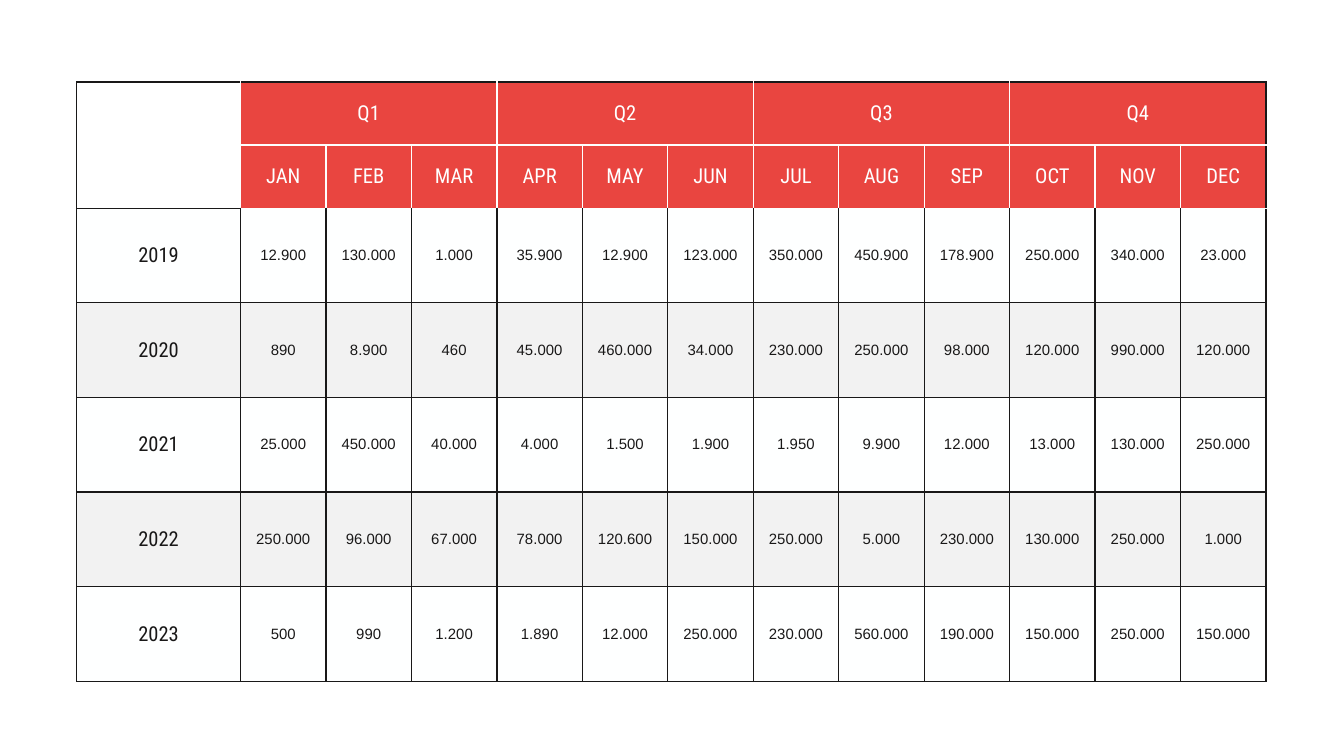
from dataclasses import dataclass

from lxml import etree
from pptx import Presentation
from pptx.dml.color import RGBColor
from pptx.enum.text import MSO_ANCHOR, PP_ALIGN
from pptx.oxml.ns import qn
from pptx.util import Inches, Pt

CENTER = PP_ALIGN.CENTER
MIDDLE = MSO_ANCHOR.MIDDLE

DARK, WHITE, RED, GRAY = "191818", "FEFFFF", "E94540", "E7E7E7"
HEADING_FONT, VALUE_FONT = "Roboto Condensed", "Arial"

LEFT, TOP, WIDTH, HEIGHT = 0.57, 0.61, 8.85, 4.46
YEAR_WIDTH, HEADER_HEIGHT = 1.22, 0.47
HEADER_ROWS, MONTHS_PER_QUARTER = 2, 3
BORDER_WIDTH = Pt(0.75)

QUARTERS = ["Q1", "Q2", "Q3", "Q4"]
MONTHS = "JAN FEB MAR APR MAY JUN JUL AUG SEP OCT NOV DEC".split()


@dataclass(frozen=True)
class CellStyle:
    font: str
    size: float
    color: str
    fill: str
    opacity: int = 100


@dataclass(frozen=True)
class Year:
    label: str
    values: str
    fill: str = WHITE
    opacity: int = 100


YEARS = [
    Year("2019", "12.900 130.000 1.000 35.900 12.900 123.000 "
                 "350.000 450.900 178.900 250.000 340.000 23.000"),
    Year("2020", "890 8.900 460 45.000 460.000 34.000 "
                 "230.000 250.000 98.000 120.000 990.000 120.000", GRAY, 50),
    Year("2021", "25.000 450.000 40.000 4.000 1.500 1.900 "
                 "1.950 9.900 12.000 13.000 130.000 250.000"),
    Year("2022", "250.000 96.000 67.000 78.000 120.600 150.000 "
                 "250.000 5.000 230.000 130.000 250.000 1.000", GRAY, 50),
    Year("2023", "500 990 1.200 1.890 12.000 250.000 "
                 "230.000 560.000 190.000 150.000 250.000 150.000", WHITE, 50),
]
HEADER = CellStyle(HEADING_FONT, 11, WHITE, RED)


def rgb(color: str) -> RGBColor:
    return RGBColor.from_string(color)


def write_cell(cell, text: str, style: CellStyle) -> None:
    cell.text_frame.text = text
    paragraph = cell.text_frame.paragraphs[0]
    paragraph.alignment = CENTER
    font = paragraph.runs[0].font
    font.name, font.size = style.font, Pt(style.size)
    font.color.rgb = rgb(style.color)
    cell.fill.solid()
    cell.fill.fore_color.rgb = rgb(style.fill)
    if style.opacity < 100:
        fill_color = cell._tc.tcPr.find(qn("a:solidFill"))[0]
        etree.SubElement(fill_color, qn("a:alpha"), val=str(style.opacity * 1000))


def border_colors(row: int, column: int, span: int) -> dict[str, str]:
    """Light lines around the headings, dark lines everywhere else."""
    heading = row < HEADER_ROWS and column > 0
    corner = row == 0 and column == 0
    at_right_edge = column + span > len(MONTHS)
    under_heading = 0 < row <= HEADER_ROWS and column > 0
    return {
        "L": WHITE if heading else DARK,
        "R": WHITE if corner or (heading and not at_right_edge) else DARK,
        "T": WHITE if under_heading else DARK,
        "B": WHITE if heading else DARK,
    }


def draw_borders(cell, colors: dict[str, str]) -> None:
    properties = cell._tc.get_or_add_tcPr()
    for position, (side, color) in enumerate(colors.items()):
        line = etree.Element(qn(f"a:ln{side}"), w=str(BORDER_WIDTH))
        fill = etree.SubElement(line, qn("a:solidFill"))
        etree.SubElement(fill, qn("a:srgbClr"), val=color)
        properties.insert(position, line)


presentation = Presentation()
presentation.slide_width = Inches(10)
presentation.slide_height = Inches(10) * 9 // 16
slide = presentation.slides.add_slide(presentation.slide_layouts[6])

# Grid
sales = slide.shapes.add_table(
    HEADER_ROWS + len(YEARS), 1 + len(MONTHS),
    Inches(LEFT), Inches(TOP), Inches(WIDTH), Inches(HEIGHT),
).table
sales.first_row = sales.horz_banding = False
month_width = (WIDTH - YEAR_WIDTH) / len(MONTHS)
year_height = (HEIGHT - HEADER_ROWS * HEADER_HEIGHT) / len(YEARS)
for index, column in enumerate(sales.columns):
    column.width = Inches(month_width if index else YEAR_WIDTH)
for index, row in enumerate(sales.rows):
    row.height = Inches(HEADER_HEIGHT if index < HEADER_ROWS else year_height)

# Quarter and month headings
corner_cell = sales.cell(0, 0)
corner_cell.merge(sales.cell(1, 0))
corner_cell.fill.background()
for index, quarter in enumerate(QUARTERS):
    first = 1 + index * MONTHS_PER_QUARTER
    quarter_cell = sales.cell(0, first)
    quarter_cell.merge(sales.cell(0, first + MONTHS_PER_QUARTER - 1))
    write_cell(quarter_cell, quarter, HEADER)
for column, month in enumerate(MONTHS, start=1):
    write_cell(sales.cell(1, column), month, HEADER)

# Years and monthly values
for row, year in enumerate(YEARS, start=HEADER_ROWS):
    year_style = CellStyle(HEADING_FONT, 11, DARK, year.fill, year.opacity)
    value_style = CellStyle(VALUE_FONT, 8, DARK, year.fill, year.opacity)
    write_cell(sales.cell(row, 0), year.label, year_style)
    for column, value in enumerate(year.values.split(), start=1):
        write_cell(sales.cell(row, column), value, value_style)

# Margins and borders
for row in range(len(sales.rows)):
    for column in range(len(sales.columns)):
        cell = sales.cell(row, column)
        cell.vertical_anchor = MIDDLE
        cell.margin_left = cell.margin_right = Inches(0.04)
        cell.margin_top = cell.margin_bottom = Inches(0.02)
        span = cell.span_width if cell.is_merge_origin else 1
        draw_borders(cell, border_colors(row, column, span))

presentation.save("out.pptx")
